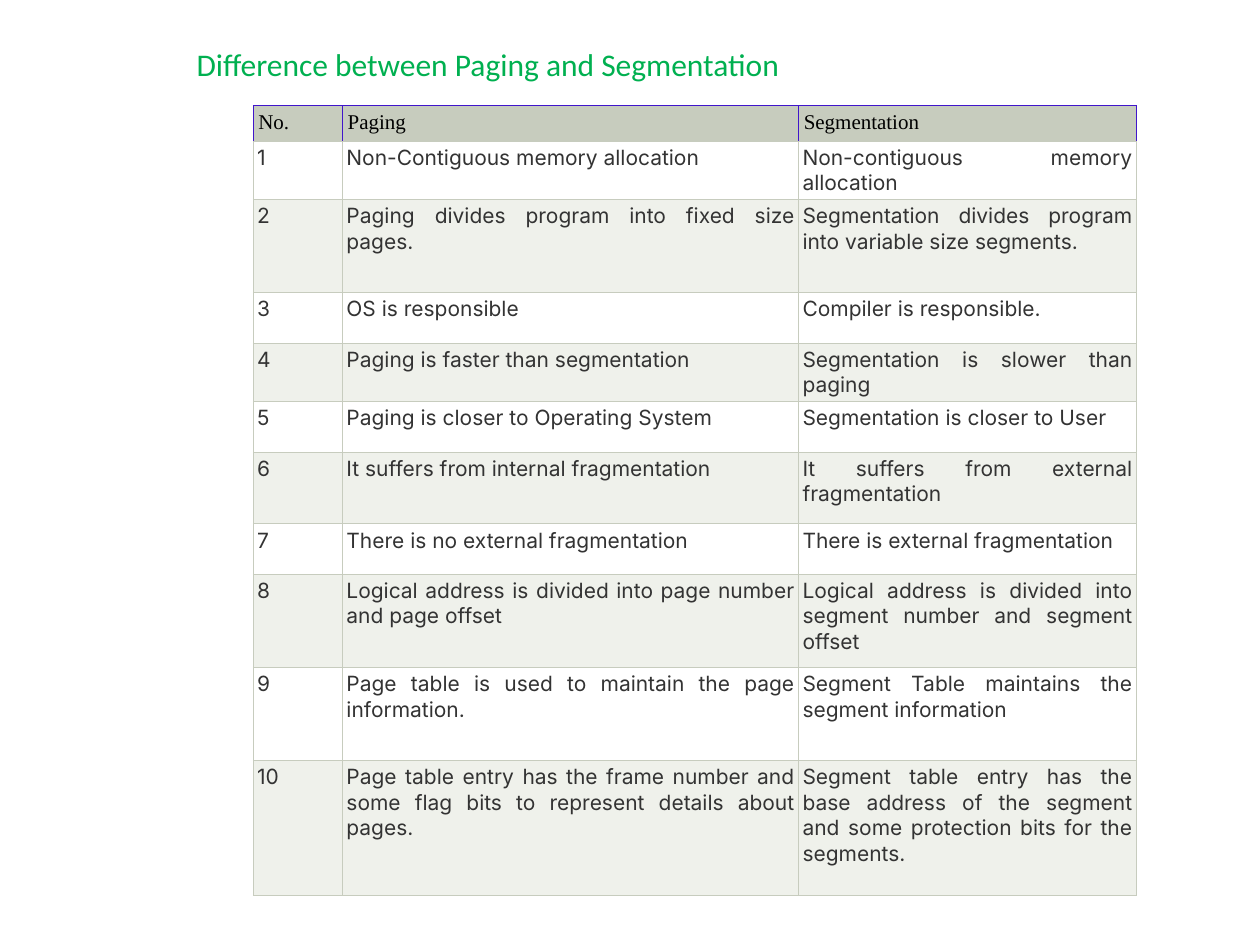
from lxml.etree import SubElement
from pptx import Presentation
from pptx.dml.color import RGBColor
from pptx.enum.text import MSO_ANCHOR, MSO_AUTO_SIZE, PP_ALIGN
from pptx.oxml.ns import qn
from pptx.util import Inches, Pt

GREEN = RGBColor(0x00, 0xB0, 0x50)
BLACK = RGBColor(0x00, 0x00, 0x00)
CHARCOAL = RGBColor(0x33, 0x33, 0x33)
SAGE = RGBColor(0xC7, 0xCC, 0xBE)
PALE_SAGE = RGBColor(0xEF, 0xF1, 0xEB)
WHITE = RGBColor(0xFF, 0xFF, 0xFF)
VIOLET = RGBColor(0x40, 0x15, 0xCB)

HEADINGS = ("No.", "Paging", "Segmentation")
DIFFERENCES = (
    ("Non-Contiguous memory allocation", "Non-contiguous memory allocation"),
    ("Paging divides program into fixed size pages.",
     "Segmentation divides program into variable size segments."),
    ("OS is responsible", "Compiler is responsible."),
    ("Paging is faster than segmentation", "Segmentation is slower than paging"),
    ("Paging is closer to Operating System", "Segmentation is closer to User"),
    ("It suffers from internal fragmentation", "It suffers from external fragmentation"),
    ("There is no external fragmentation", "There is external fragmentation"),
    ("Logical address is divided into page number and page offset",
     "Logical address is divided into segment number and segment offset"),
    ("Page table is used to maintain the page information.",
     "Segment Table maintains the segment information"),
    ("Page table entry has the frame number and some flag bits to represent details about pages.",
     "Segment table entry has the base address of the segment and some protection bits "
     "for the segments."),
)
COLUMN_WIDTHS = (0.71, 3.62, 2.68)
ROW_HEIGHTS = (0.28, 0.45, 0.74, 0.4, 0.45, 0.4, 0.57, 0.4, 0.74, 0.74, 1.07)


def format_run(run, size, font_name, color):
    """Set the size, font and colour of a run."""
    run.font.size = Pt(size)
    run.font.name = font_name
    run.font.color.rgb = color
    run.font.bold = False


def add_title(slide, left, top, width, height):
    """Place the slide title at the bottom of its box."""
    title = slide.shapes.title
    title.left, title.top, title.width, title.height = left, top, width, height
    text_frame = title.text_frame
    text_frame.text = "Difference between Paging and Segmentation"
    text_frame.word_wrap = False
    text_frame.auto_size = MSO_AUTO_SIZE.NONE
    text_frame.vertical_anchor = MSO_ANCHOR.BOTTOM
    paragraph = text_frame.paragraphs[0]
    paragraph.alignment = PP_ALIGN.LEFT
    format_run(paragraph.runs[0], 18, "Calibri", GREEN)


def set_borders(cell, side_color, bottom_color):
    """Draw the four borders of a cell, the bottom one in its own colour."""
    properties = cell._tc.get_or_add_tcPr()
    colors = (side_color, side_color, side_color, bottom_color)
    for index, (side, color) in enumerate(zip("LRTB", colors)):
        line = SubElement(properties, qn(f"a:ln{side}"), w=str(Pt(0.6)))
        fill = SubElement(line, qn("a:solidFill"))
        SubElement(fill, qn("a:srgbClr"), val=str(color))
        properties.insert(index, line)


def fill_cell(cell, text, is_header, background):
    """Write and format one table cell."""
    cell.text = text
    margin = Inches(0.04 if is_header else 0.03)
    cell.margin_left = cell.margin_right = margin
    cell.margin_top = cell.margin_bottom = margin
    cell.fill.solid()
    cell.fill.fore_color.rgb = background
    set_borders(cell, VIOLET if is_header else SAGE, SAGE)
    paragraph = cell.text_frame.paragraphs[0]
    if is_header:
        format_run(paragraph.runs[0], 12, "Times New Roman", BLACK)
    else:
        paragraph.alignment = PP_ALIGN.JUSTIFY
        format_run(paragraph.runs[0], 12, "Inter", CHARCOAL)


def add_comparison_table(slide, left, top, width, height):
    """Place the table of differences with alternating row fills."""
    rows = [HEADINGS]
    rows += [(str(number), *pair) for number, pair in enumerate(DIFFERENCES, 1)]
    table = slide.shapes.add_table(
        len(rows), len(HEADINGS), left, top, width, height).table
    for column, share in zip(table.columns, COLUMN_WIDTHS):
        column.width = int(width * share / sum(COLUMN_WIDTHS))
    for row, share in zip(table.rows, ROW_HEIGHTS):
        row.height = int(height * share / sum(ROW_HEIGHTS))
    for row_index, texts in enumerate(rows):
        is_header = row_index == 0
        stripe = WHITE if row_index % 2 else PALE_SAGE
        for column_index, text in enumerate(texts):
            fill_cell(table.cell(row_index, column_index), text, is_header,
                      SAGE if is_header else stripe)


def main():
    """Build and save the presentation."""
    presentation = Presentation()
    presentation.slide_width = Inches(10)
    presentation.slide_height = Inches(7.5)
    slide = presentation.slides.add_slide(presentation.slide_layouts[5])
    add_comparison_table(slide, Inches(2.01), Inches(0.84), Inches(7.01), Inches(6.24))
    add_title(slide, Inches(1.46), Inches(0), Inches(4.89), Inches(0.71))
    presentation.save("out.pptx")


if __name__ == "__main__":
    main()
